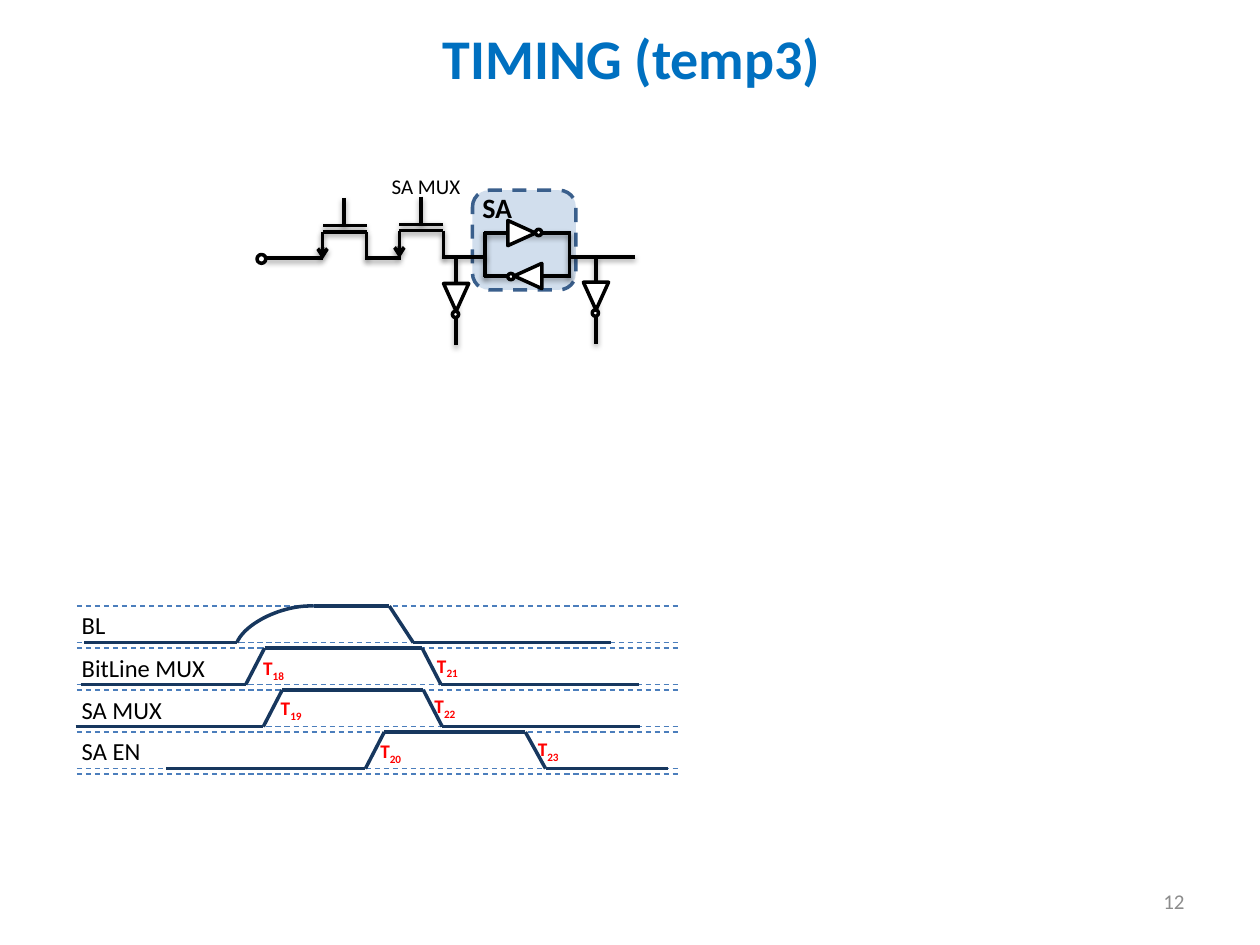
import dataclasses
import itertools

import lxml.etree
import pptx
import pptx.dml.color
import pptx.enum.dml
import pptx.enum.shapes
import pptx.enum.text
import pptx.oxml
import pptx.oxml.ns
import pptx.util

Inches = pptx.util.Inches
SHAPE = pptx.enum.shapes.MSO_SHAPE
ALIGN = pptx.enum.text.PP_ALIGN
ANCHOR = pptx.enum.text.MSO_ANCHOR
DASH = pptx.enum.dml.MSO_LINE.DASH


@dataclasses.dataclass(frozen=True)
class Theme:
    font: str = "Calibri"
    title: str = "0070C0"
    number: str = "8C8C8C"
    ink: str = "000000"
    paper: str = "FFFFFF"
    amp: str = "4F81BD"
    amp_edge: str = "3A5F8C"
    guide: str = "4B7EBC"
    wave: str = "17375E"
    mark: str = "FF0000"
    title_size: float = 32
    amp_size: float = 16
    label_size: float = 14
    small_size: float = 12
    mark_size: float = 11
    stroke: float = 2
    guide_stroke: float = 0.75


T = Theme()
ROW_TOP, ROW_PITCH, ROW_HEIGHT = 4.81, 1 / 3, 0.29


def rgb(value):
    return pptx.dml.color.RGBColor.from_string(value)


def child(parent, tag, **attrs):
    return lxml.etree.SubElement(parent, pptx.oxml.ns.qn(tag), attrs)


def add_text(s, text, left, top, width, height, size=T.label_size, color=T.ink,
             bold=False, align=ALIGN.LEFT, anchor=ANCHOR.TOP, wrap=True, sub=""):
    box = s.shapes.add_textbox(Inches(left), Inches(top), Inches(width), Inches(height))
    tf = box.text_frame
    tf.word_wrap = wrap
    tf.vertical_anchor = anchor
    p = tf.paragraphs[0]
    p.alignment = align
    for part in filter(None, (text, sub)):
        r = p.add_run()
        r.text = part
        r.font.name = T.font
        r.font.size = pptx.util.Pt(size)
        r.font.bold = bold
        r.font.color.rgb = rgb(color)
    if sub:
        r.font._element.set("baseline", "-25000")


def style_line(line, color, width=T.stroke, dash=None):
    line.color.rgb = rgb(color)
    line.width = pptx.util.Pt(width)
    if dash:
        line.dash_style = dash


def add_line(s, start, end, color, width=T.stroke, dash=None, arrow=False, shadow=False):
    points = [Inches(v) for v in (*start, *end)]
    line = s.shapes.add_connector(pptx.enum.shapes.MSO_CONNECTOR.STRAIGHT, *points)
    style_line(line.line, color, width, dash)
    if arrow:
        child(line.line._get_or_add_ln(), "a:tailEnd", type="arrow")
    effects = child(line._element.spPr, "a:effectLst")
    if shadow:
        outer = child(effects, "a:outerShdw", blurRad=str(pptx.util.Pt(3.1)),
                      dist=str(pptx.util.Pt(1.6)), dir="5400000", rotWithShape="0")
        child(child(outer, "a:srgbClr", val=T.ink), "a:alpha", val="38000")


def add_wire(s, *points, arrow=False):
    for start, end in itertools.pairwise(points):
        add_line(s, start, end, T.ink, arrow=arrow, shadow=True)


def add_wave(s, *points):
    for start, end in itertools.pairwise(points):
        add_line(s, start, end, T.wave)


def add_symbol(s, kind, left, top, width, height, rotation=0):
    shape = s.shapes.add_shape(kind, Inches(left), Inches(top), Inches(width), Inches(height))
    shape.rotation = rotation
    shape.shadow.inherit = False
    shape.fill.solid()
    shape.fill.fore_color.rgb = rgb(T.paper)
    style_line(shape.line, T.ink)
    return shape


def add_inverter(s, left, top, rotation, dot_left, dot_top):
    add_symbol(s, SHAPE.ISOSCELES_TRIANGLE, left, top, 0.2, 0.22, rotation)
    add_symbol(s, SHAPE.FLOWCHART_CONNECTOR, dot_left, dot_top, 0.05, 0.05)


def add_transistor(s, x, y):
    right, middle = x + 0.35, x + 0.17
    add_wire(s, (right, y), (x, y))
    add_wire(s, (x, y), (x, y + 0.22), arrow=True)
    add_wire(s, (right, y), (right, y + 0.22))
    add_wire(s, (right, y - 0.05), (x, y - 0.05))
    add_wire(s, (middle, y - 0.27), (middle, y - 0.05))


def add_output(s, x, y):
    add_wire(s, (x, y + 0.69), (x, y))
    add_inverter(s, x - 0.1, y + 0.2, 180, x - 0.03, y + 0.42)


def add_circuit(s):
    amp = add_symbol(s, SHAPE.ROUNDED_RECTANGLE, 3.75, 1.51, 0.82, 0.79)
    amp.fill.fore_color.rgb = rgb(T.amp)
    color = amp.fill._xPr.find(".//" + pptx.oxml.ns.qn("a:srgbClr"))
    child(color, "a:alpha", val="26000")
    style_line(amp.line, T.amp_edge, dash=DASH)

    for y in (2.19, 1.85):
        add_wire(s, (4.53, y), (3.84, y))
    for left, right, y in ((2.9, 3.18, 2.05), (2.1, 2.56, 2.05),
                           (3.51, 3.86, 2.04), (4.53, 5.04, 2.04)):
        add_wire(s, (right, y), (left, y))
    for x in (3.85, 4.52):
        add_wire(s, (x, 1.84), (x, 2.2))
    add_transistor(s, 2.56, 1.84)
    add_transistor(s, 3.17, 1.83)
    add_symbol(s, SHAPE.OVAL, 2.04, 2.02, 0.07, 0.07)
    add_inverter(s, 4.04, 1.74, 90, 4.25, 1.82)
    add_inverter(s, 4.09, 2.08, 270, 4.03, 2.17)
    add_output(s, 3.62, 2.05)
    add_output(s, 4.73, 2.04)
    add_text(s, "SA", 3.73, 1.46, 0.44, 0.37, size=T.amp_size, bold=True, wrap=False)
    add_text(s, "SA MUX", 3.01, 1.33, 0.77, 0.3, size=T.small_size, wrap=False)


def add_charge_curve(s, points, steps=24):
    weights = (1, 3, 3, 1)
    curve = []
    for step in range(steps + 1):
        t = step / steps
        blend = [w * t ** i * (1 - t) ** (3 - i) for i, w in enumerate(weights)]
        curve.append(tuple(Inches(sum(b * p[axis] for b, p in zip(blend, points)))
                           for axis in (0, 1)))
    builder = s.shapes.build_freeform(*curve[0])
    builder.add_line_segments(curve[1:], close=False)
    shape = builder.convert_to_shape()
    shape.shadow.inherit = False
    shape.fill.background()
    style_line(shape.line, T.wave)


def add_timing(s):
    rows = (
        ("BL", 0.39, 4.79, (0.67, 1.88, 2.49, 3.09, 3.28, 4.85)),
        ("BitLine MUX", 1.21, 5.13, (0.64, 1.95, 2.1, 3.35, 3.5, 5.07)),
        ("SA MUX", 0.84, 5.47, (0.6, 2.09, 2.24, 3.36, 3.51, 5.08)),
        ("SA EN", 0.71, 5.79, (1.32, 2.9, 3.05, 4.17, 4.33, 5.3)),
    )
    highs = [ROW_TOP + i * ROW_PITCH for i in range(len(rows) + 1)]
    for y in highs + [high + ROW_HEIGHT for high in highs[:-1]]:
        add_line(s, (0.61, y), (5.38, y), T.guide, T.guide_stroke, DASH)
    for (label, width, top, xs), high in zip(rows, highs):
        low = high + ROW_HEIGHT
        points = list(zip(xs, (low, low, high, high, low, low)))
        if label == "BL":
            add_wave(s, *points[:2])
            add_charge_curve(s, (points[1], (1.95, 4.94), (2.25, 4.8), points[2]))
            add_wave(s, *points[2:])
        else:
            add_wave(s, *points)
        add_text(s, label, 0.55, top, width, 0.34, wrap=False)
    marks = (("18", 1.99, 5.16), ("19", 2.13, 5.48), ("20", 2.92, 5.82),
             ("21", 3.37, 5.14), ("22", 3.35, 5.46), ("23", 4.17, 5.8))
    for index, left, top in marks:
        add_text(s, "T", left, top, 0.64, 0.29, size=T.mark_size, color=T.mark,
                 bold=True, sub=index)


def main():
    prs = pptx.Presentation()
    prs.slide_width, prs.slide_height = Inches(10), Inches(7.5)
    s = prs.slides.add_slide(prs.slide_layouts[6])
    add_text(s, "12", 7.17, 6.95, 2.33, 0.4, size=T.small_size, color=T.number,
             align=ALIGN.RIGHT, anchor=ANCHOR.MIDDLE)
    add_text(s, "TIMING (temp3)", 0.37, 0.14, 9.29, 0.64, size=T.title_size,
             color=T.title, bold=True, align=ALIGN.CENTER)
    add_circuit(s)
    add_timing(s)
    prs.save("out.pptx")


if __name__ == "__main__":
    main()
